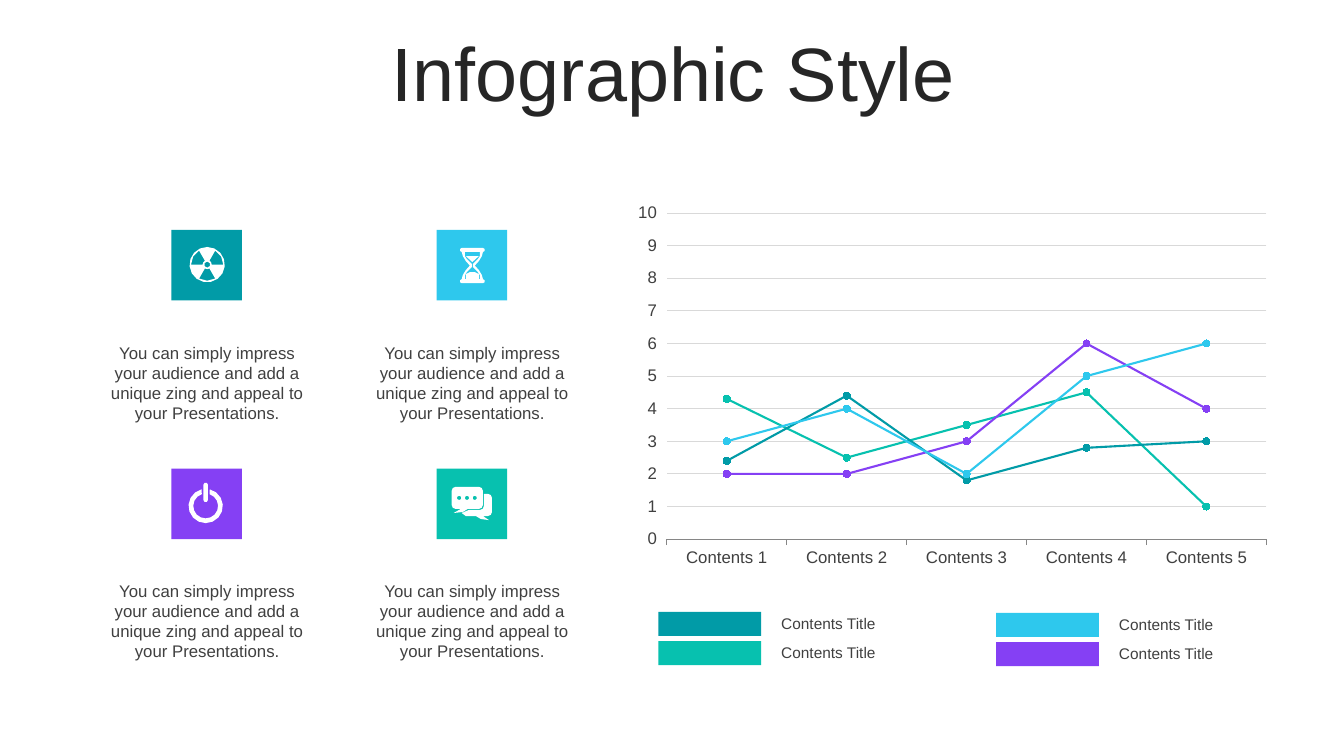
from math import cos, radians, sin

from pptx import Presentation
from pptx import util as u
from pptx.chart.data import CategoryChartData
from pptx.dml.color import RGBColor
from pptx.enum import chart as charts, shapes, text

COLORS = {"teal": "019BA7", "sky": "2EC8ED", "violet": "8540F4", "green": "07C1AF",
          "title": "262626", "body": "404040", "grid": "D9D9D9", "axis": "868686",
          "white": "FFFFFF"}
BLURB = ("You can simply impress your audience and add a unique zing "
         "and appeal to your Presentations.")
CATEGORIES = [f"Contents {n}" for n in range(1, 6)]
SERIES = [("Series 1", "green", (4.3, 2.5, 3.5, 4.5, 1)),
          ("Series 2", "teal", (2.4, 4.4, 1.8, 2.8, 3)),
          ("Series 3", "violet", (2, 2, 3, 6, 4)),
          ("Series 4", "sky", (3, 4, 2, 5, 6))]
LEGEND = [["teal", "sky"], ["green", "violet"]]
TILES = [["teal", "sky"], ["violet", "green"]]


def rgb(name):
    return RGBColor.from_string(COLORS[name])


def arc(cx, cy, r, start=0, end=360):
    """Points on a circle, in degrees clockwise from the top."""
    steps = max(2, round(abs(end - start) / (24 if r > 0.1 else 60)))
    angles = [radians(start + (end - start) * i / steps) for i in range(steps + 1)]
    return [(cx + r * sin(a), cy - r * cos(a)) for a in angles]


def radiation(cx=2.055, cy=2.625):
    blades = [arc(cx, cy, 0.16, a, a + 60) + arc(cx, cy, 0.045, a + 60, a)
              for a in (30, 150, 270)]
    return [arc(cx, cy, 0.175), arc(cx, cy, 0.03)] + blades


def power(cx=2.04, cy=5.02):
    ring = arc(cx, cy, 0.17, 14, 346) + arc(cx, cy, 0.123, 342, 18)
    bar = arc(cx, 4.81, 0.023, -90, 90) + arc(cx, 4.96, 0.023, 90, 270)
    return [ring, bar]


def hourglass(cx=4.685, cy=2.635):
    def mirrored(quarter):
        half = quarter + [(x, 2 * cy - y) for x, y in reversed(quarter)]
        return half + [(2 * cx - x, y) for x, y in reversed(half)]

    frame = arc(4.79, 2.48, 0.02, 0, 180)
    frame += [(4.78, 2.54), (4.75, 2.59), (4.71, cy)]
    glass = [(4.76, 2.5), (4.76, 2.54), (4.74, 2.57), (4.69, 2.62)]
    top_sand = [(4.62, 2.54), (4.75, 2.54), (cx, 2.6)]
    bottom_sand = [(4.62, 2.77), (4.62, 2.72), (4.66, 2.7), (4.71, 2.7),
                   (4.75, 2.72), (4.75, 2.77)]
    return [mirrored(frame), mirrored(glass), top_sand, bottom_sand]


def chat():
    dots = [arc(4.555 + 0.077 * i, 4.94, 0.022) for i in range(3)]
    front = arc(4.52, 4.87, 0.04, 270, 360) + arc(4.75, 4.87, 0.04, 0, 90)
    front += arc(4.75, 5.01, 0.04, 90, 180)
    front += [(4.64, 5.05), (4.59, 5.08), (4.5, 5.09), (4.57, 5.05)]
    front += arc(4.52, 5.01, 0.04, 180, 270)
    back = [(4.8, 4.9)] + arc(4.84, 4.94, 0.04, 0, 90) + arc(4.84, 5.08, 0.04, 90, 180)
    back += [(4.79, 5.12), (4.85, 5.16), (4.77, 5.15), (4.72, 5.12), (4.62, 5.12),
             (4.58, 5.09), (4.65, 5.06)]
    back += arc(4.76, 5.02, 0.04, 180, 90)
    return dots + [front, back]


class SlideBuilder:
    def __init__(self, slide, face="Arial"):
        self.s = slide
        self.face = face

    def style(self, font, size, color):
        font.name, font.size = self.face, u.Pt(size)
        font.color.rgb = rgb(color)

    def paint(self, sp, color):
        sp.shadow.inherit = False
        sp.fill.solid()
        sp.fill.fore_color.rgb = rgb(color)
        sp.line.fill.background()

    def rect(self, box, color):
        sp = self.s.shapes.add_shape(shapes.MSO_SHAPE.RECTANGLE, *map(u.Inches, box))
        self.paint(sp, color)

    def label(self, box, words, size, color="body", centered=False, title=False):
        tf = self.s.shapes.add_textbox(*map(u.Inches, box)).text_frame
        tf.word_wrap = True
        p = tf.paragraphs[0]
        p.text = words
        p.alignment = text.PP_ALIGN.CENTER if centered else text.PP_ALIGN.LEFT
        if title:
            tf.vertical_anchor = text.MSO_ANCHOR.MIDDLE
            p.line_spacing = 0.9
        else:
            tf.auto_size = text.MSO_AUTO_SIZE.SHAPE_TO_FIT_TEXT
        self.style(p.font, size, color)

    def icon(self, contours, color="white", units=10000):
        scaled = [[(x * units, y * units) for x, y in c] for c in contours]
        builder = self.s.shapes.build_freeform(*scaled[0][0], scale=u.Inches(1) / units)
        for i, contour in enumerate(scaled):
            if i:
                builder.move_to(*contour[0])
            builder.add_line_segments(contour[1:], close=True)
        self.paint(builder.convert_to_shape(), color)

    def line_chart(self, box, categories, series):
        data = CategoryChartData()
        data.categories = categories
        for name, _, values in series:
            data.add_series(name, values)
        chart = self.s.shapes.add_chart(charts.XL_CHART_TYPE.LINE_MARKERS,
                                        *map(u.Inches, box), data).chart
        chart.has_legend = chart.has_title = False
        self.style(chart.font, 12, "body")
        chart.plots[0].vary_by_categories = False
        for line, (_, color, _) in zip(chart.plots[0].series, series):
            line.smooth = False
            line.format.line.width = u.Pt(1.5)
            line.format.line.color.rgb = rgb(color)
            line.marker.style = charts.XL_MARKER_STYLE.CIRCLE
            line.marker.size = 5
            line.marker.format.fill.solid()
            line.marker.format.fill.fore_color.rgb = rgb(color)
            line.marker.format.line.color.rgb = rgb(color)
        for axis in (chart.category_axis, chart.value_axis):
            axis.major_tick_mark = charts.XL_TICK_MARK.OUTSIDE
            self.style(axis.tick_labels.font, 12, "body")
        chart.category_axis.format.line.color.rgb = rgb("axis")
        scale = chart.value_axis
        scale.minimum_scale, scale.maximum_scale, scale.major_unit = 0, 10, 1
        scale.format.line.fill.background()
        scale.major_gridlines.format.line.width = u.Pt(0.75)
        scale.major_gridlines.format.line.color.rgb = rgb("grid")


def main():
    prs = Presentation()
    prs.slide_width, prs.slide_height = u.Inches(13.33), u.Inches(7.5)
    page = SlideBuilder(prs.slides.add_slide(prs.slide_layouts[6]))
    page.label((0.35, 0.37, 12.66, 0.79), "Infographic Style", 54, "title",
               centered=True, title=True)
    page.line_chart((6.2, 1.95, 6.49, 3.75), CATEGORIES, SERIES)
    for row in range(2):
        for col in range(2):
            x, y = 6.53 + 3.35 * col, 6.07 + 0.29 * row + 0.01 * col
            page.rect((x, y, 1.02, 0.24), LEGEND[row][col])
            page.label((x + 1.12, y - 0.03, 1.36, 0.29), "Contents Title", 11)
            x = 1.7 + 2.63 * col
            page.rect((x, 2.28 + 2.37 * row, 0.7, 0.7), TILES[row][col])
            page.label((x - 0.73, 3.35 + 2.36 * row, 2.17, 0.91), BLURB, 12,
                       centered=True)
    for contours in (radiation(), hourglass(), power(), chat()):
        page.icon(contours)
    prs.save("out.pptx")


if __name__ == "__main__":
    main()
